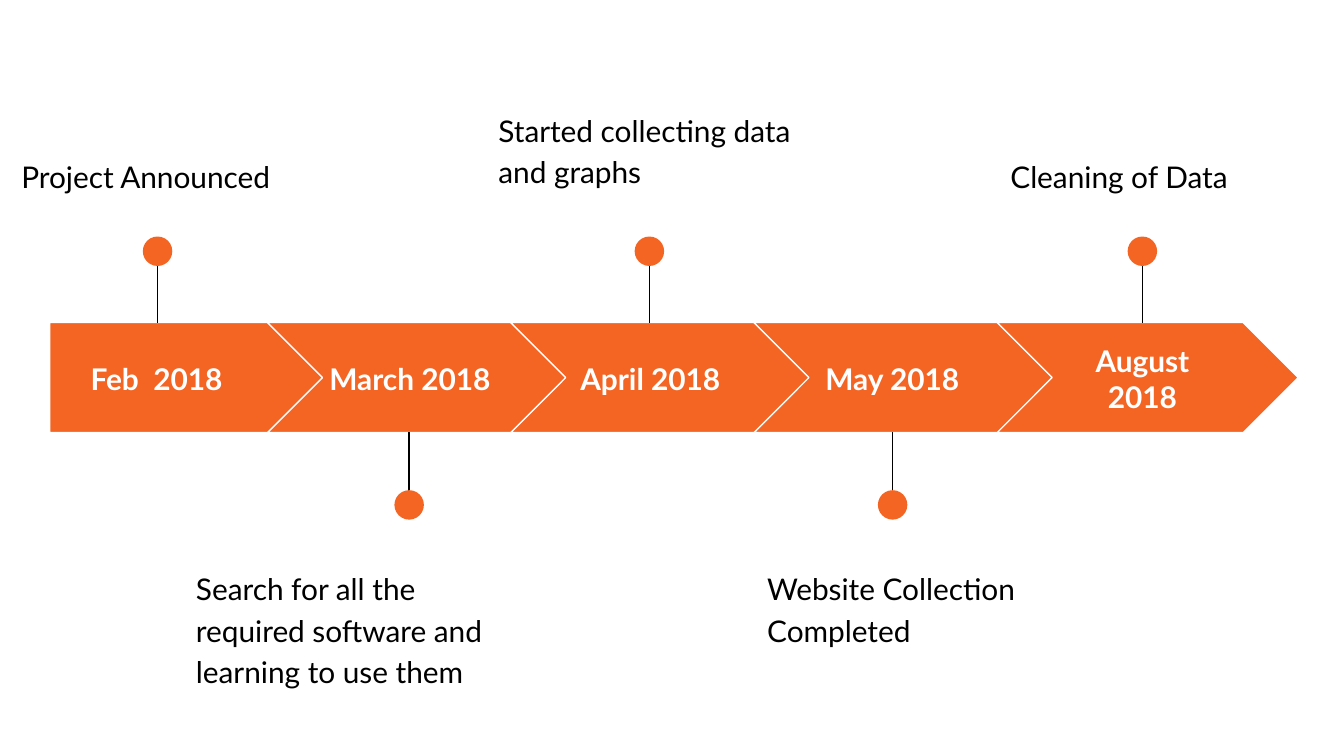
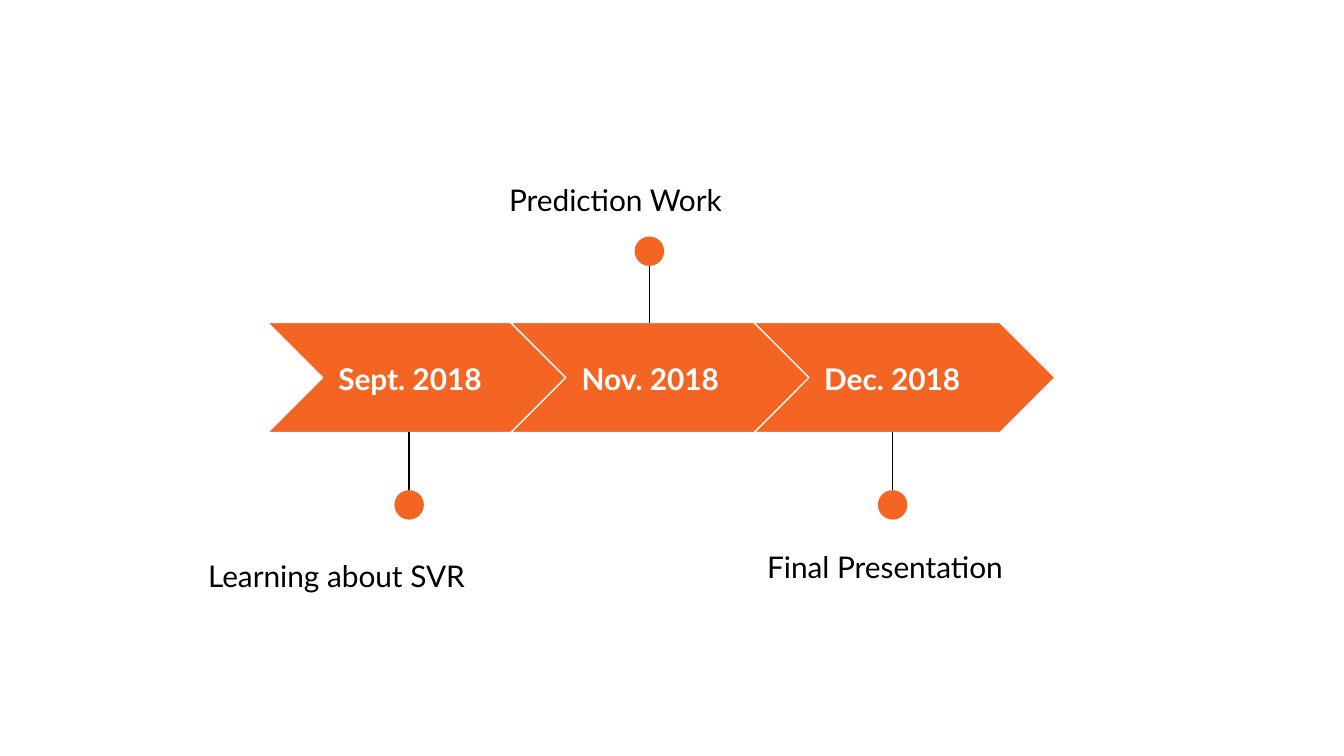
from pptx import Presentation
from pptx.dml.color import RGBColor
from pptx.enum.shapes import MSO_CONNECTOR, MSO_SHAPE
from pptx.enum.text import MSO_ANCHOR, PP_ALIGN
from pptx.oxml.ns import qn
from pptx.util import Pt
from lxml import etree

PENTAGON, CHEVRON, OVAL = MSO_SHAPE.PENTAGON, MSO_SHAPE.CHEVRON, MSO_SHAPE.OVAL
STRAIGHT = MSO_CONNECTOR.STRAIGHT
TOP, MIDDLE = MSO_ANCHOR.TOP, MSO_ANCHOR.MIDDLE
LEFT, CENTER = PP_ALIGN.LEFT, PP_ALIGN.CENTER

ORANGE, WHITE, BLACK = "F46524", "FFFFFF", "000000"
FONT, TEXT_SIZE = "Lato", 16
INSET, LINE_WIDTH = 7.2, 0.75

# Timeline band: slot 0 is a flat-ended arrow, the others are chevrons
BAND_TOP, BAND_H = 172.8, 59
FIRST_LEFT, FIRST_W = 26.6, 147.6
CHEVRON_LEFT, CHEVRON_W, STEP = 143.3, 161.3, 130.3
DATE_TOP, DATE_H = 184.3, 36.7
FIRST_DATE_W, DATE_W = 114.5, 103.7
DATE_LEFTS = [26.6, 167.8, 296.6, 426.2, 560.2]

# Pins stand above even slots and hang below odd ones
PIN_XS = [84.4, 219.2, 347.9, 478.2, 612]
DOT = 15.8
STEM_ABOVE, DOT_ABOVE = (129.6, 173.3), 126.7
STEM_BELOW, DOT_BELOW = (275, 231.3), 262.6
EVENT_W = 176.4

# Each step: slot, date, event, event left, top and height
SLIDES = [
    [
        (0, "Feb  2018", "Project Announced", 4.3, 74.9, 46.8),
        (1, "March 2018",
         "Search for all the required software and learning to use them",
         97.9, 295.9, 71.3),
        (2, "April 2018", "Started collecting data and graphs", 259.9, 50.4, 59),
        (3, "May 2018", "Website Collection Completed", 403.9, 295.9, 71.3),
        (4, "August 2018", "Cleaning of Data", 534.2, 74.9, 46.8),
    ],
    [
        (1, "Sept. 2018", "Learning about SVR", 104.4, 288.7, 71.3),
        (2, "Nov. 2018", "Prediction Work", 265.7, 87.1, 59),
        (3, "Dec. 2018", "Final Presentation", 403.9, 283.7, 71.3),
    ],
]


def rgb(hex_color):
    return RGBColor.from_string(hex_color)


def add_solid(shapes, kind, x, y, w, h, line=None):
    sp = shapes.add_shape(kind, Pt(x), Pt(y), Pt(w), Pt(h))
    sp.shadow.inherit = False
    sp.fill.solid()
    sp.fill.fore_color.rgb = rgb(ORANGE)
    if line:
        sp.line.color.rgb = rgb(line)
        sp.line.width = Pt(LINE_WIDTH)
    else:
        sp.line.fill.background()
    return sp


def add_text(slide, text, x, y, w, h, color, bold=False, align=LEFT, anchor=TOP):
    tf = slide.shapes.add_textbox(Pt(x), Pt(y), Pt(w), Pt(h)).text_frame
    tf.word_wrap = True
    tf.vertical_anchor = anchor
    tf.margin_left = tf.margin_right = Pt(INSET)
    tf.margin_top = tf.margin_bottom = Pt(INSET)
    tf.text = text
    p = tf.paragraphs[0]
    p.alignment = align
    font = p.runs[0].font
    font.name, font.size, font.bold = FONT, Pt(TEXT_SIZE), bold
    font.color.rgb = rgb(color)
    return p


def add_arrow(slide, slot, date):
    if slot == 0:
        kind, x, w, date_w = PENTAGON, FIRST_LEFT, FIRST_W, FIRST_DATE_W
    else:
        x = CHEVRON_LEFT + (slot - 1) * STEP
        kind, w, date_w = CHEVRON, CHEVRON_W, DATE_W
    sp = add_solid(slide.shapes, kind, x, BAND_TOP, w, BAND_H, WHITE)
    sp.adjustments[0] = 0.5
    add_text(slide, date, DATE_LEFTS[slot], DATE_TOP, date_w, DATE_H,
             WHITE, True, CENTER, MIDDLE)


def add_pin(slide, slot):
    x = PIN_XS[slot]
    if slot % 2 == 0:
        (start, end), dot_top = STEM_ABOVE, DOT_ABOVE
    else:
        (start, end), dot_top = STEM_BELOW, DOT_BELOW
    pin = slide.shapes.add_group_shape()
    stem = pin.shapes.add_connector(STRAIGHT, Pt(x), Pt(start), Pt(x), Pt(end))
    stem.line.color.rgb = rgb(BLACK)
    stem.line.width = Pt(LINE_WIDTH)
    etree.SubElement(stem._element.spPr, qn("a:effectLst"))
    add_solid(pin.shapes, OVAL, x - DOT / 2, dot_top, DOT, DOT)


def add_event(slide, text, x, y, h):
    p = add_text(slide, text, x, y, EVENT_W, h, BLACK)
    p.line_spacing = 1.15
    p.space_after = Pt(16)


def main():
    prs = Presentation()
    prs.slide_width, prs.slide_height = Pt(720), Pt(405)
    for steps in SLIDES:
        slide = prs.slides.add_slide(prs.slide_layouts[6])
        for slot, date, event, x, y, h in steps:
            add_arrow(slide, slot, date)
            add_pin(slide, slot)
            add_event(slide, event, x, y, h)
    prs.save("out.pptx")


if __name__ == "__main__":
    main()
